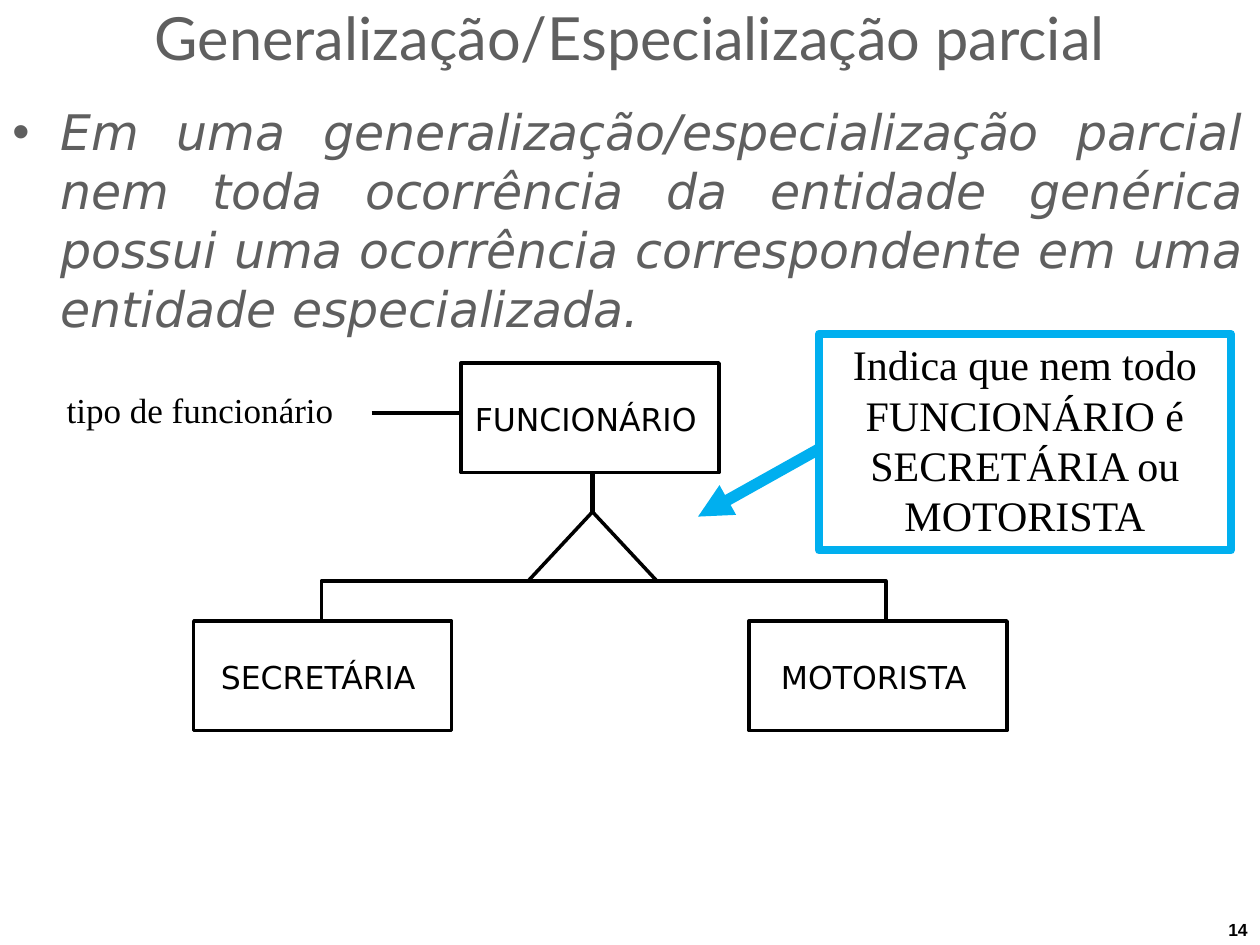
from dataclasses import dataclass

from lxml import etree
from pptx import Presentation
from pptx.dml.color import RGBColor
from pptx.enum.shapes import MSO_CONNECTOR as Line, MSO_SHAPE as Shape
from pptx.enum.text import MSO_ANCHOR as Anchor, MSO_AUTO_SIZE as AutoSize, PP_ALIGN as Align
from pptx.oxml.ns import qn
from pptx.util import Pt


@dataclass(frozen=True)
class Theme:
    gray = RGBColor(0x5F, 0x5F, 0x5F)
    black = RGBColor(0, 0, 0)
    white = RGBColor(255, 255, 255)
    blue = RGBColor(0x00, 0xAF, 0xEF)
    title_font = "Lato"
    body_font = "DejaVu Sans"
    note_font = "Times New Roman"
    number_font = "Arial"
    title_size = 34
    body_size = 28
    note_size = 24
    label_size = 20
    entity_size = 18
    number_size = 10
    outline = 2


theme = Theme()


def write(shape, text, font, size, color=theme.black, align=Align.LEFT,
          anchor=Anchor.TOP, insets=(0, 0, 0, 0)):
    frame = shape.text_frame
    frame.word_wrap = True
    frame.auto_size = AutoSize.NONE
    frame.vertical_anchor = anchor
    frame.margin_left, frame.margin_top, frame.margin_right, frame.margin_bottom = map(Pt, insets)
    para = frame.paragraphs[0]
    para.text = text
    para.alignment = align
    para.space_before = Pt(0)
    para.font.name = font
    para.font.size = Pt(size)
    para.font.color.rgb = color
    return para


def connect(shapes, start, end, color, width):
    line = shapes.add_connector(Line.STRAIGHT, *map(Pt, start + end))
    line.line.color.rgb = color
    line.line.width = Pt(width)
    etree.SubElement(line._element.spPr, qn("a:effectLst"))
    return line


deck = Presentation()
deck.slide_width, deck.slide_height = Pt(720), Pt(540)
page = deck.slides.add_slide(deck.slide_layouts[1])
shapes = page.shapes

title = shapes.title
title.left, title.top, title.width, title.height = map(Pt, (88, 0, 544, 42.5))
write(title, "Generalização/Especialização parcial", theme.title_font, theme.title_size,
      theme.gray, Align.CENTER, insets=(0, 0.7, 0, 0))

body = page.placeholders[1]
body.left, body.top, body.width, body.height = map(Pt, (6.5, 57, 707.5, 136))
para = write(body, "Em uma generalização/especialização parcial nem toda ocorrência da entidade "
             "genérica possui uma ocorrência correspondente em uma entidade especializada.",
             theme.body_font, theme.body_size, theme.gray, Align.JUSTIFY, insets=(0, 1.2, 4, 0))
para.font.italic = True
properties = para._p.get_or_add_pPr()
properties.set("marL", str(Pt(28)))
properties.set("indent", str(Pt(-27.4)))

connect(shapes, (338.6, 270), (338.6, 293), theme.black, 3.16)

triangle = shapes.add_shape(Shape.ISOSCELES_TRIANGLE, *map(Pt, (301.9, 292.5, 73.4, 39.4)))
builder = shapes.build_freeform(Pt(183.6), Pt(355), scale=1.0)
builder.add_line_segments(
    [(Pt(x), Pt(y)) for x, y in ((183.6, 332), (506.2, 332), (506.2, 355))], close=False)
bracket = builder.convert_to_shape()
bracket.fill.background()
triangle.fill.solid()
triangle.fill.fore_color.rgb = theme.white
for outline in (triangle, bracket):
    outline.shadow.inherit = False
    outline.line.color.rgb = theme.black
    outline.line.width = Pt(theme.outline)

for name, left, top in (("FUNCIONÁRIO", 263.5, 207.4),
                        ("SECRETÁRIA", 110.7, 354.9),
                        ("MOTORISTA", 428.1, 354.9)):
    entity = shapes.add_shape(Shape.RECTANGLE, Pt(left), Pt(top), Pt(147.4), Pt(62.6))
    entity.shadow.inherit = False
    entity.fill.solid()
    entity.fill.fore_color.rgb = theme.white
    entity.line.color.rgb = theme.black
    entity.line.width = Pt(theme.outline)
    write(entity, name, theme.body_font, theme.entity_size, align=Align.CENTER,
          anchor=Anchor.MIDDLE, insets=(0, 1.2, 5, 0))

arrow = connect(shapes, (484.6, 247.3), (398.9, 295.2), theme.blue, 6.5)
etree.SubElement(arrow.line._get_or_add_ln(), qn("a:tailEnd"), type="triangle")

callout = shapes.add_shape(Shape.RECTANGLE, *map(Pt, (468, 190.8, 235.4, 123.8)))
callout.shadow.inherit = False
callout.fill.solid()
callout.fill.fore_color.rgb = theme.white
callout.line.color.rgb = theme.blue
callout.line.width = Pt(4.56)
write(callout, "Indica que nem todo FUNCIONÁRIO é SECRETÁRIA ou MOTORISTA",
      theme.note_font, theme.note_size, align=Align.CENTER, insets=(15, 2.7, 15, 0))

label = shapes.add_textbox(*map(Pt, (37.4, 221, 154, 26)))
write(label, "tipo de funcionário", theme.note_font, theme.label_size, insets=(0.7, 1.2, 0, 0))
connect(shapes, (212.4, 236.2), (263.5, 236.2), theme.black, 2.28)

number = shapes.add_textbox(*map(Pt, (699, 525.2, 17.3, 13)))
write(number, "14", theme.number_font, theme.number_size, insets=(2.9, 0, 0, 0)).font.bold = True

deck.save("out.pptx")
